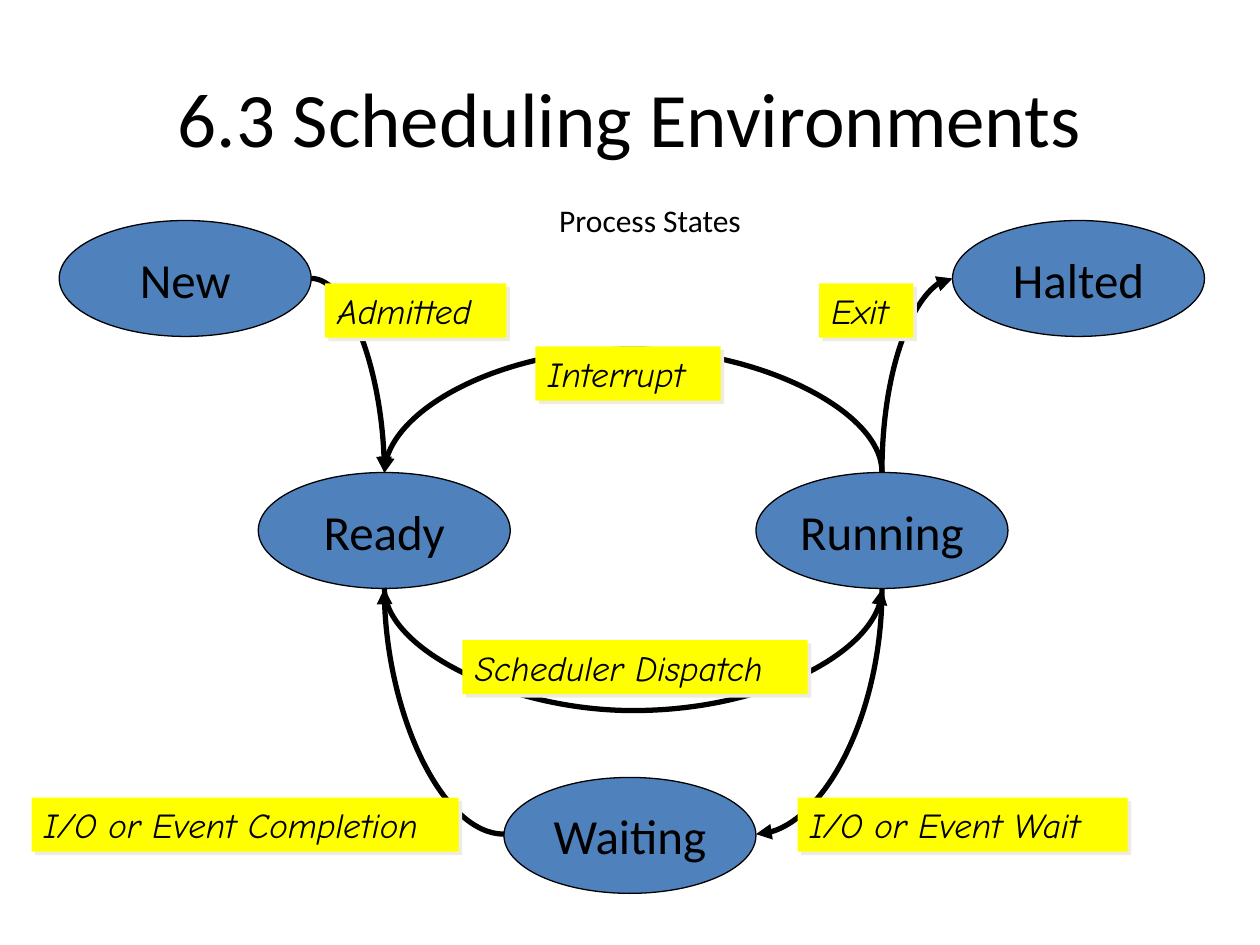
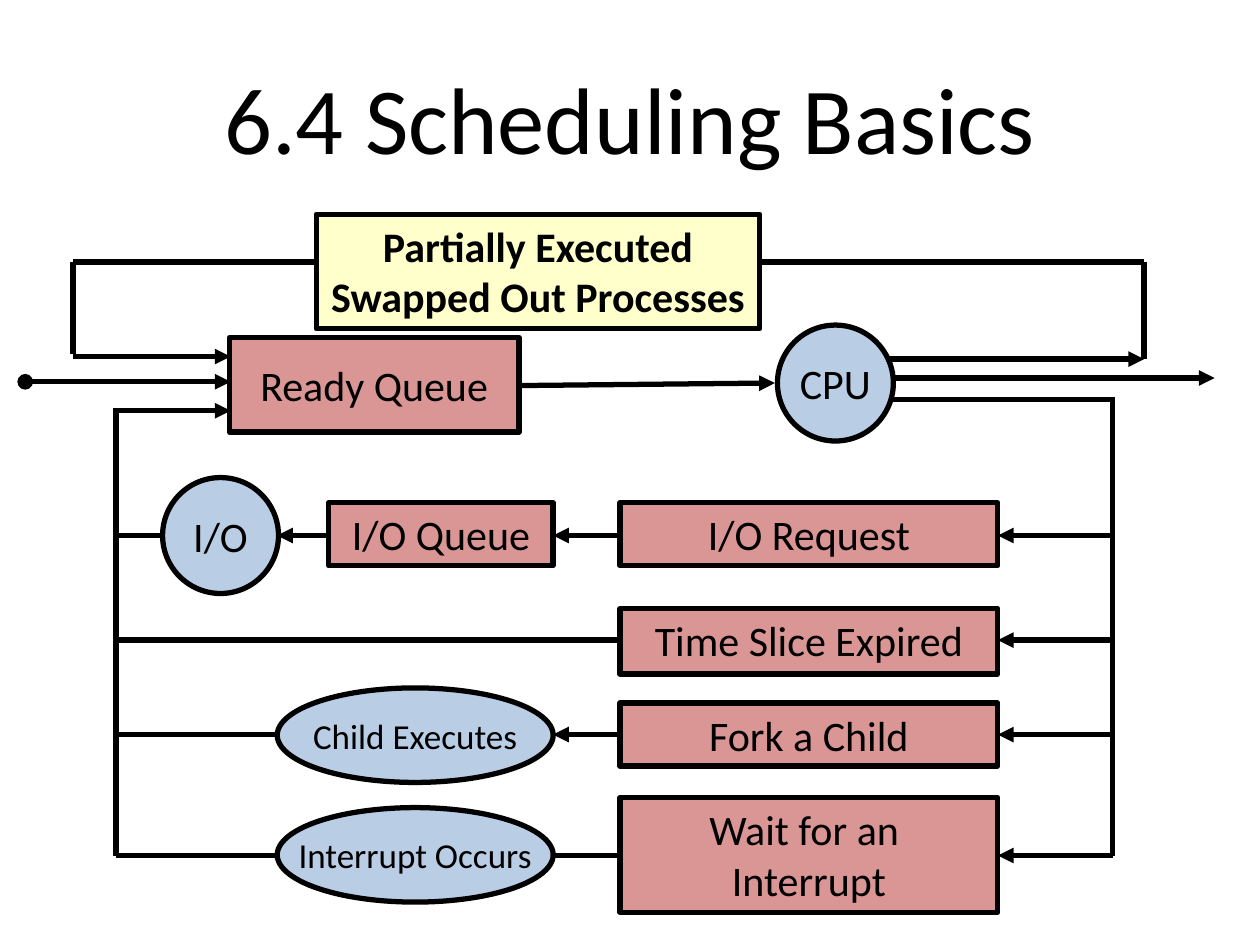
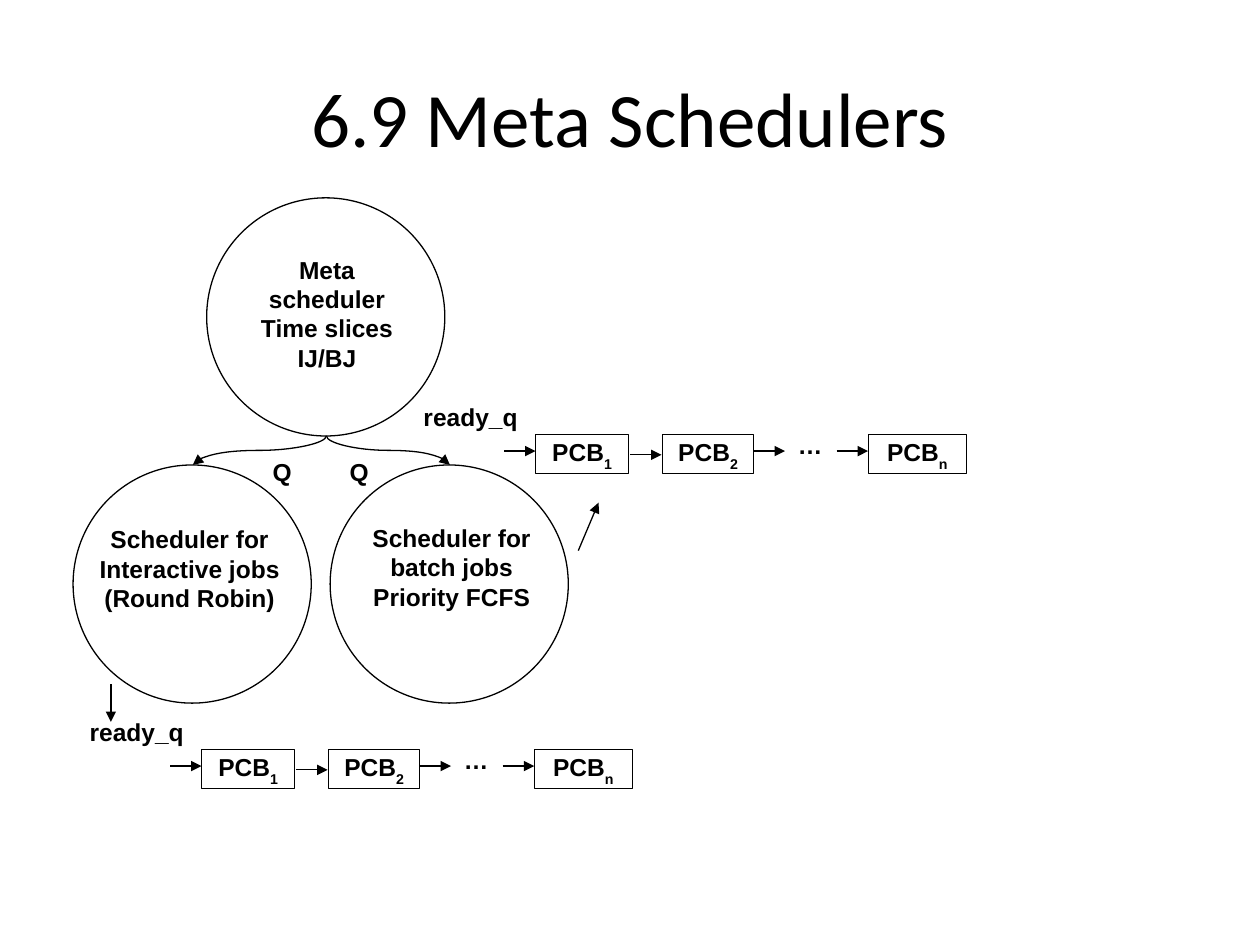
import dataclasses
import typing

import pptx
import pptx.dml.color
import pptx.enum.shapes
import pptx.enum.text
import pptx.oxml.ns
import pptx.shapes.autoshape
import pptx.shapes.connector
import pptx.shapes.shapetree
import pptx.slide
import pptx.util
from lxml import etree

SHAPE = pptx.enum.shapes.MSO_SHAPE
ALIGN = pptx.enum.text.PP_ALIGN
ANCHOR = pptx.enum.text.MSO_ANCHOR
FIT = pptx.enum.text.MSO_AUTO_SIZE
CONNECTOR = pptx.enum.shapes.MSO_CONNECTOR
qn = pptx.oxml.ns.qn

Canvas = typing.Union[pptx.shapes.shapetree.SlideShapes, pptx.shapes.shapetree.GroupShapes]
Point = tuple[float, float]


# Shared look
@dataclasses.dataclass(frozen=True)
class Theme:
    ink: str = "000000"
    state: str = "4F81BD"
    event: str = "FFFF00"
    event_shadow: str = "EEECE1"
    step: str = "D99694"
    worker: str = "B9CDE5"
    swapped: str = "FFFFCC"
    body_font: str = "Calibri"
    event_font: str = "Comic Neue"
    queue_font: str = "Arial"
    title: int = 44
    large_title: int = 54
    state_size: int = 28
    step_size: int = 24
    event_size: int = 20
    caption_size: int = 18
    queue_size: int = 14
    thick: float = 3
    thin: float = 0.75


THEME = Theme()


@dataclasses.dataclass(frozen=True)
class Style:
    """Look of a box; a preset of None is a plain text box."""
    preset: typing.Any
    size: int
    fill: str | None = None
    border: float | None = None
    font: str = THEME.body_font
    bold: bool = False
    italic: bool = False
    align: typing.Any = ALIGN.CENTER
    anchor: typing.Any = ANCHOR.TOP
    wrap: bool = False
    grow: bool = False
    insets: Point = (0.1, 0.05)
    shadow: str | None = None


class Box(typing.NamedTuple):
    text: str
    left: float
    top: float
    width: float
    height: float
    style: Style
    subscript: str = ""


class Arrow(typing.NamedTuple):
    start: Point
    end: Point
    head: str | None = None
    tail: str | None = None


class Curve(typing.NamedTuple):
    start: Point
    end: Point
    rotation: int
    flips: str = ""
    preset: str = "curvedConnector2"
    bend: float | None = None


STATE = Style(SHAPE.OVAL, THEME.state_size, THEME.state, THEME.thin, anchor=ANCHOR.MIDDLE)
EVENT = Style(SHAPE.RECTANGLE, THEME.event_size, THEME.event, font=THEME.event_font, italic=True,
              align=ALIGN.LEFT, grow=True, shadow=THEME.event_shadow)
CAPTION = Style(None, THEME.caption_size, align=ALIGN.LEFT, grow=True)
STEP = Style(SHAPE.RECTANGLE, THEME.step_size, THEME.step, THEME.thick, wrap=True, grow=True)
FIXED_STEP = dataclasses.replace(STEP, wrap=False, grow=False)
READY = dataclasses.replace(FIXED_STEP, anchor=ANCHOR.MIDDLE)
DEVICE = dataclasses.replace(READY, preset=SHAPE.OVAL, fill=THEME.worker)
ACTION = dataclasses.replace(DEVICE, size=THEME.event_size)
SWAPPED = dataclasses.replace(STEP, fill=THEME.swapped, bold=True, wrap=False)
NOTE = Style(None, THEME.queue_size, font=THEME.queue_font, bold=True, wrap=True, insets=(0.05, 0.02))
PCB = dataclasses.replace(NOTE, preset=SHAPE.RECTANGLE, border=THEME.thin)
SCHEDULER = dataclasses.replace(PCB, preset=SHAPE.OVAL)


def length(inches: float) -> pptx.util.Length:
    return pptx.util.Cm(inches * 2.54)


def rgb(value: str) -> pptx.dml.color.RGBColor:
    return pptx.dml.color.RGBColor.from_string(value)


def set_all(target: typing.Any, formats: dict[str, typing.Any]) -> None:
    for name, value in formats.items():
        setattr(target, name, value)


def format_font(font: typing.Any, name: str, size: int, bold: bool = False, italic: bool = False) -> None:
    set_all(font, {"name": name, "size": pptx.util.Pt(size), "bold": bold, "italic": italic})
    font.color.rgb = rgb(THEME.ink)


def add_shadow(shape: pptx.shapes.autoshape.Shape, color: str) -> None:
    effects = shape._element.spPr.find(qn("a:effectLst"))
    outer = etree.SubElement(effects, qn("a:outerShdw"), dist="35921", dir="2700000",
                             algn="ctr", rotWithShape="0")
    etree.SubElement(outer, qn("a:srgbClr"), val=color)


def write_text(shape: pptx.shapes.autoshape.Shape, box: Box) -> None:
    style, frame = box.style, shape.text_frame
    across, down = map(length, style.insets)
    set_all(frame, {
        "word_wrap": style.wrap, "vertical_anchor": style.anchor,
        "auto_size": FIT.SHAPE_TO_FIT_TEXT if style.grow else FIT.NONE,
        "margin_left": across, "margin_right": across,
        "margin_top": down, "margin_bottom": down,
    })
    for number, text in enumerate(box.text.split("\n")):
        paragraph = frame.add_paragraph() if number else frame.paragraphs[0]
        paragraph.alignment = style.align
        for part in filter(None, (text, box.subscript)):
            run = paragraph.add_run()
            run.text = part
            format_font(run.font, style.font, style.size, style.bold, style.italic)
            if part is box.subscript:
                run._r.get_or_add_rPr().set("baseline", "-30000")


def add_box(canvas: Canvas, box: Box) -> None:
    style = box.style
    frame = [length(value) for value in box[1:5]]
    if style.preset is None:
        shape = canvas.add_textbox(*frame)
    else:
        shape = canvas.add_shape(style.preset, *frame)
        if style.fill:
            shape.fill.solid()
            shape.fill.fore_color.rgb = rgb(style.fill)
        else:
            shape.fill.background()
        if style.border:
            shape.line.color.rgb = rgb(THEME.ink)
            shape.line.width = pptx.util.Pt(style.border)
        else:
            shape.line.fill.background()
        shape.shadow.inherit = False
    if style.shadow:
        add_shadow(shape, style.shadow)
    if box.text:
        write_text(shape, box)


def format_line(line: pptx.shapes.connector.Connector, weight: float,
                head: str | None, tail: str | None) -> None:
    line.line.color.rgb = rgb(THEME.ink)
    line.line.width = pptx.util.Pt(weight)
    outline = line._element.spPr.find(qn("a:ln"))
    for tag, kind in (("a:headEnd", head), ("a:tailEnd", tail)):
        if kind:
            etree.SubElement(outline, qn(tag), type=kind, w="med", len="med")
    etree.SubElement(line._element.spPr, qn("a:effectLst"))


def add_arrow(canvas: Canvas, arrow: Arrow, weight: float) -> None:
    line = canvas.add_connector(CONNECTOR.STRAIGHT, *map(length, (*arrow.start, *arrow.end)))
    format_line(line, weight, arrow.head, arrow.tail)


def add_curve(canvas: Canvas, curve: Curve, weight: float) -> None:
    """Place the unrotated frame around the middle of the two ends."""
    (x1, y1), (x2, y2) = curve.start, curve.end
    width, height = abs(x2 - x1), abs(y2 - y1)
    if curve.rotation in (90, 270):
        width, height = max(height, 0.01), width
    left, top = (x1 + x2 - width) / 2, (y1 + y2 - height) / 2
    line = canvas.add_connector(CONNECTOR.CURVE, *map(length, (left, top, left + width, top + height)))
    properties = line._element.spPr
    frame = properties.find(qn("a:xfrm"))
    frame.set("rot", str(curve.rotation * 60000))
    for flip in curve.flips:
        frame.set("flip" + flip, "1")
    geometry = properties.find(qn("a:prstGeom"))
    geometry.set("prst", curve.preset)
    if curve.bend is not None:
        guides = geometry.find(qn("a:avLst"))
        if guides is None:
            guides = etree.SubElement(geometry, qn("a:avLst"))
        etree.SubElement(guides, qn("a:gd"), name="adj1", fmla=f"val {round(curve.bend * 100000)}")
    format_line(line, weight, None, "triangle")


def add_titled_slide(deck: typing.Any, text: str, size: int = THEME.title) -> pptx.slide.Slide:
    slide = deck.slides.add_slide(deck.slide_layouts[5])
    title = slide.shapes.title
    set_all(title, {"left": length(0.5), "top": length(0.3), "width": length(9), "height": length(1.25)})
    title.text_frame.text = text
    title.text_frame.vertical_anchor = ANCHOR.MIDDLE
    paragraph = title.text_frame.paragraphs[0]
    paragraph.alignment = ALIGN.CENTER
    format_font(paragraph.runs[0].font, THEME.body_font, size)
    return slide


def build_process_states(deck: typing.Any) -> None:
    shapes = add_titled_slide(deck, "6.3 Scheduling Environments").shapes
    for name, left, top in (("New", 0.47, 1.75), ("Ready", 2.05, 3.75), ("Running", 6, 3.75),
                            ("Halted", 7.56, 1.75), ("Waiting", 4, 6.17)):
        add_box(shapes, Box(name, left, top, 2, 0.92, STATE))

    # Transitions between the states, each grouped with its event
    ready_top, ready_bottom = (3.05, 3.75), (3.05, 4.67)
    running_top, running_bottom = (7, 3.75), (7, 4.67)
    arch = "curvedConnector3"
    transitions = (
        (Curve((2.47, 2.21), ready_top, 0), "Admitted", 2.58, 2.25, 1.44),
        (Curve(running_top, (7.56, 2.21), 270), "Exit", 6.5, 2.25, 0.75),
        (Curve((4, 6.62), ready_bottom, 180), "I/O or Event Completion", 0.25, 6.33, 3.39),
        (Curve(ready_bottom, running_bottom, 270, "H", arch, 99), "Scheduler Dispatch", 3.67, 5.08, 2.74),
        (Curve(running_bottom, (6, 6.62), 90), "I/O or Event Wait", 6.33, 6.33, 2.62),
        (Curve(running_top, ready_top, 270, "HV", arch, -99), "Interrupt", 4.25, 2.75, 1.47),
    )
    for curve, event, left, top, width in transitions:
        transition = shapes.add_group_shape().shapes
        add_curve(transition, curve, THEME.thick)
        add_box(transition, Box(event, left, top, width, 0.43, EVENT))
    add_box(shapes, Box("Process States", 4.34, 1.55, 1.66, 0.4, CAPTION))


def build_scheduling_basics(deck: typing.Any) -> None:
    shapes = add_titled_slide(deck, "6.4 Scheduling Basics", THEME.large_title).shapes
    steps = (
        Box("Ready Queue", 1.82, 2.68, 2.3, 0.75, READY),
        Box("I/O Request", 4.92, 3.99, 3, 0.5, STEP),
        Box("Time Slice Expired", 4.92, 4.83, 3, 0.52, FIXED_STEP),
        Box("Fork a Child", 4.92, 5.58, 3, 0.5, STEP),
        Box("Wait for an \nInterrupt", 4.92, 6.33, 3, 0.91, STEP),
        Box("Child Executes", 2.2, 5.46, 2.19, 0.75, ACTION),
        Box("Interrupt Occurs", 2.2, 6.41, 2.19, 0.75, ACTION),
        Box("I/O", 1.29, 3.79, 0.92, 0.92, DEVICE),
        Box("I/O Queue", 2.61, 3.99, 1.78, 0.5, STEP),
        Box("CPU", 6.17, 2.58, 0.92, 0.92, DEVICE),
    )
    for step in steps:
        add_box(shapes, step)

    # Ways in and out of the processor, and the two vertical buses
    tip = "triangle"
    back, out, last_row = 0.92, 8.83, 6.79
    arrows = [
        Arrow((4.14, 3.06), (6.15, 3.04), tail=tip),
        Arrow((0.2, 3.03), (1.83, 3.03), "oval", tip),
        Arrow((1.83, 3.26), (back, 3.26), tip),
        Arrow((back, 3.24), (back, last_row)),
        Arrow((out, 3.17), (out, last_row)),
        Arrow((7.08, 3), (9.64, 3), tail=tip),
        Arrow((7.07, 3.17), (8.85, 3.17)),
        Arrow((2.61, 4.25), (2.2, 4.25), tail=tip),
    ]
    # One row for each reason to leave the processor
    for row, exit_x in ((4.25, 1.29), (5.08, 4.92), (5.83, 2.2), (last_row, 2.2)):
        arrows += [Arrow((7.92, row), (out, row), tip), Arrow((exit_x, row), (back, row))]
        if exit_x < 4.92:
            arrows.append(Arrow((4.92, row), (4.39, row), tail=None if row == last_row else tip))
    for arrow in arrows:
        add_arrow(shapes, arrow, THEME.thick)

    # Loop through the swapped out processes
    loop = shapes.add_group_shape().shapes
    for arrow in (
        Arrow((7.03, 2.85), (9.08, 2.85), tail=tip),
        Arrow((9.08, 2.08), (9.08, 2.85)),
        Arrow((5.58, 2.08), (9.08, 2.08)),
        Arrow((2.58, 2.08), (0.58, 2.08)),
        Arrow((0.58, 2.08), (0.58, 2.81)),
        Arrow((0.58, 2.83), (1.83, 2.83), tail=tip),
    ):
        add_arrow(loop, arrow, THEME.thick)
    add_box(loop, Box("Partially Executed\nSwapped Out Processes", 2.51, 1.7, 3.52, 0.91, SWAPPED))


def add_ready_queue(canvas: Canvas, left: float, top: float) -> None:
    add_box(canvas, Box("ready_q", left, top, 1.01, 0.3, NOTE))
    add_box(canvas, Box("\u2026", left + 3.03, top + 0.22, 0.34, 0.3, NOTE))
    for index, offset, width in (("1", 1.02, 0.74), ("2", 2.03, 0.72), ("n", 3.66, 0.78)):
        add_box(canvas, Box("PCB", left + offset, top + 0.28, width, 0.31, PCB, index))
    for offset, drop in ((0.77, 0.41), (1.77, 0.44), (2.75, 0.41), (3.41, 0.41)):
        start = (left + offset, top + drop)
        add_arrow(canvas, Arrow(start, (start[0] + 0.25, start[1]), tail="triangle"), THEME.thin)


def build_meta_schedulers(deck: typing.Any) -> None:
    diagram = add_titled_slide(deck, "6.9 Meta Schedulers").shapes.add_group_shape().shapes
    for left, top in ((1.64, 1.57), (0.58, 3.69), (2.62, 3.69)):
        add_box(diagram, Box("", left, top, 1.89, 1.89, SCHEDULER))
    for target, rotation, flips in ((1.53, 90, ""), (3.57, 270, "H")):
        add_curve(diagram, Curve((2.59, 3.46), (target, 3.69), rotation, flips,
                                 "curvedConnector3", 0.5), THEME.thin)
    for note in (
        Box("Meta scheduler\nTime slices\nIJ/BJ", 1.95, 2, 1.29, 1.02, NOTE),
        Box("Scheduler for Interactive jobs\n(Round Robin)", 0.68, 4.14, 1.65, 0.92, NOTE),
        Box("Scheduler for batch jobs\nPriority FCFS", 2.85, 4.13, 1.47, 0.89, NOTE),
        Box("Q", 2.7, 3.61, 0.3, 0.3, NOTE),
        Box("Q", 2.09, 3.61, 0.3, 0.3, NOTE),
    ):
        add_box(diagram, note)

    # The two ready queues and the arrows that lead to them
    add_ready_queue(diagram, 0.58, 5.67)
    add_ready_queue(diagram, 3.23, 3.17)
    for start, end in (((0.88, 5.43), (0.88, 5.73)), ((4.59, 4.37), (4.75, 3.99))):
        add_arrow(diagram, Arrow(start, end, tail="triangle"), THEME.thin)


def main() -> None:
    deck = pptx.Presentation()
    set_all(deck, {"slide_width": length(10), "slide_height": length(7.5)})
    build_process_states(deck)
    build_scheduling_basics(deck)
    build_meta_schedulers(deck)
    deck.save("out.pptx")


main()
